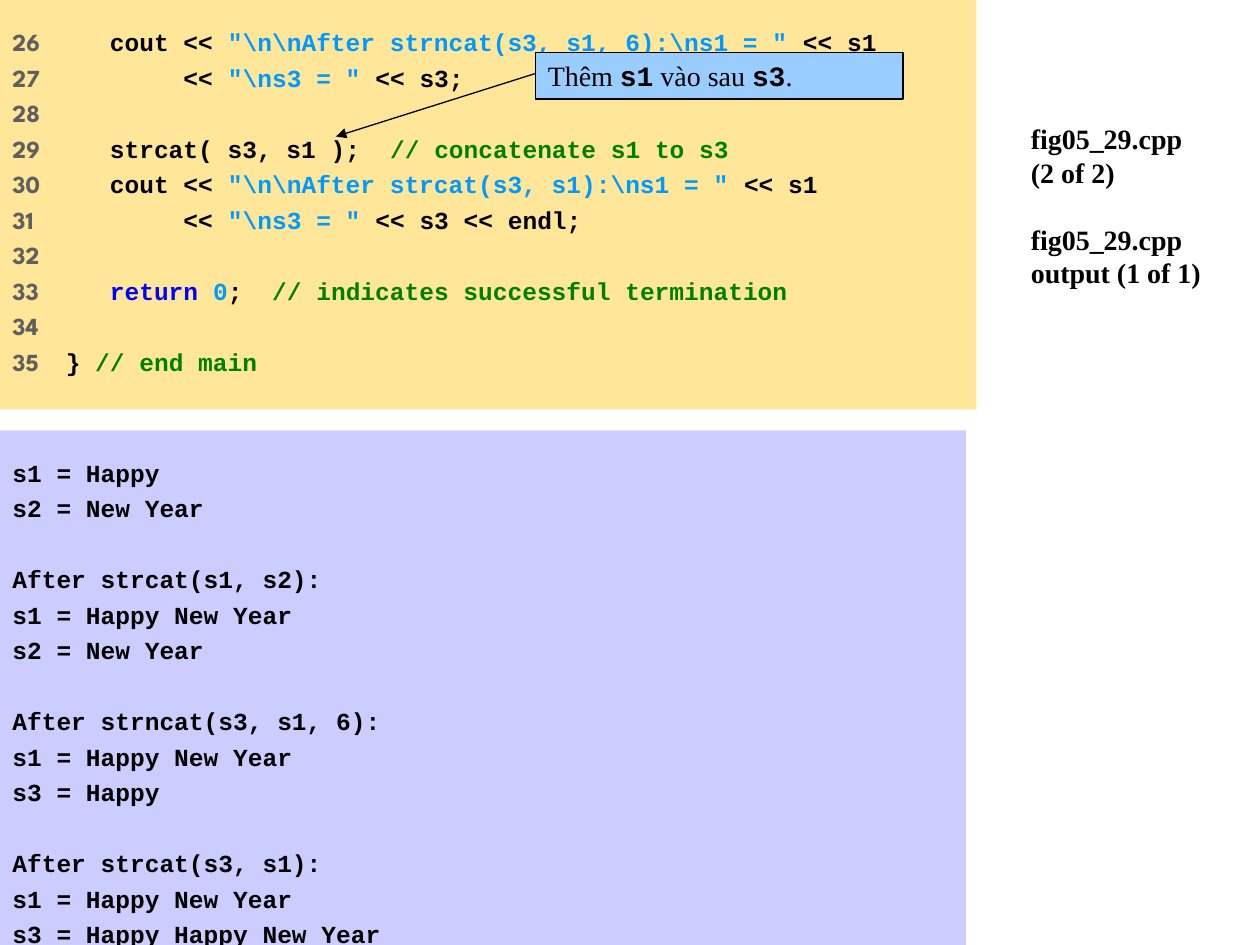
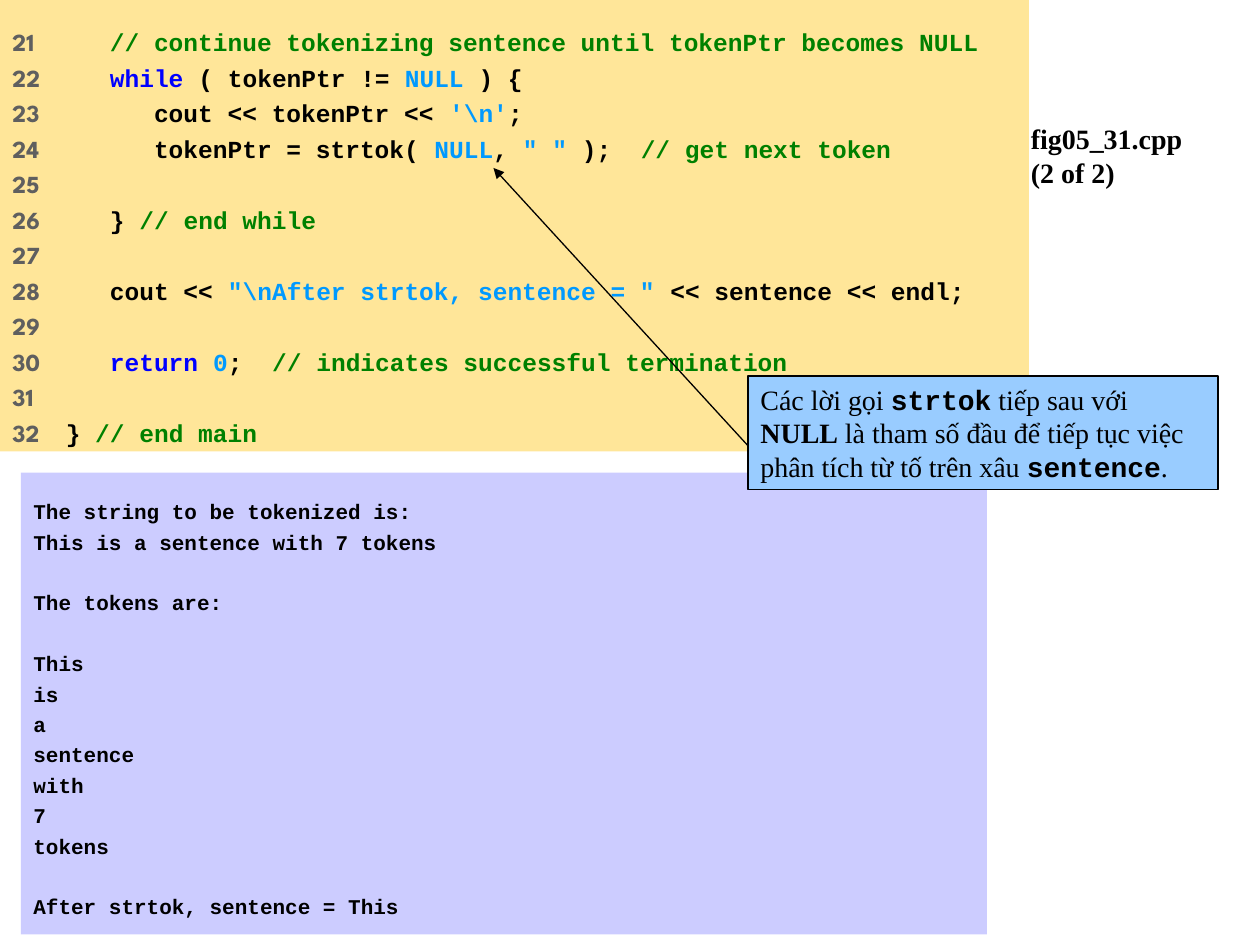
from dataclasses import dataclass

from lxml.etree import SubElement
from pptx import Presentation
from pptx.dml.color import RGBColor as Color
from pptx.enum.shapes import MSO_CONNECTOR as Connector, MSO_SHAPE as Shape
from pptx.enum.text import MSO_ANCHOR as Anchor, PP_ALIGN as Align
from pptx.oxml.ns import qn
from pptx.util import Pt


@dataclass(frozen=True)
class Theme:
    mono: str = "Courier New"
    serif: str = "Times New Roman"
    numbers: str = "League Spartan"
    ink: str = "000000"
    number_ink: str = "5F5F5F"
    keyword: str = "0000FF"
    literal: str = "0099FF"
    comment: str = "008000"
    code_fill: str = "FFE699"
    output_fill: str = "CCCCFF"
    callout_fill: str = "99CCFF"
    code_size: float = 14
    label_size: float = 16
    code_pitch: float = 1.45
    label_pitch: float = 1.2
    code_column: float = 30.5
    panel_inset: float = 12
    label_inset: float = 3.6


THEME = Theme()
PLAIN, KEYWORD, LITERAL, COMMENT = THEME.ink, THEME.keyword, THEME.literal, THEME.comment


def add_span(para, text, font, size, color=THEME.ink, bold=True):
    span = para.add_run()
    span.text = text
    span.font.name = font
    span.font.size = Pt(size)
    span.font.bold = bold
    span.font.color.rgb = Color.from_string(color)


def add_para(frame, index, pitch, before=0):
    para = frame.paragraphs[0] if index == 0 else frame.add_paragraph()
    para.alignment = Align.LEFT
    para.line_spacing = Pt(pitch)
    para.space_before = Pt(before)
    return para


def set_frame(shape, inset):
    frame = shape.text_frame
    frame.word_wrap = True
    frame.vertical_anchor = Anchor.TOP
    frame.margin_left = frame.margin_right = Pt(7.2)
    frame.margin_top = frame.margin_bottom = Pt(inset)
    return frame


def add_panel(page, box, fill, inset):
    panel = page.shapes.add_shape(Shape.RECTANGLE, *map(Pt, box))
    panel.shadow.inherit = False
    panel.fill.solid()
    panel.fill.fore_color.rgb = Color.from_string(fill)
    panel.line.fill.background()
    return panel, set_frame(panel, inset)


def add_groups(frame, groups, font, size, pitch):
    index = 0
    for group in groups:
        for position, line in enumerate(group):
            before = pitch if index and position == 0 else 0
            add_span(add_para(frame, index, pitch, before), line, font, size)
            index += 1


def add_title(page, box, groups):
    frame = set_frame(page.shapes.add_textbox(*map(Pt, box)), THEME.label_inset)
    size = THEME.label_size
    add_groups(frame, groups, THEME.serif, size, size * THEME.label_pitch)


def add_output(page, box, groups, size):
    frame = add_panel(page, box, THEME.output_fill, THEME.panel_inset)[1]
    add_groups(frame, groups, THEME.mono, size, size * THEME.code_pitch)


def add_code(page, box, first_number, lines):
    frame = add_panel(page, box, THEME.code_fill, THEME.panel_inset)[1]
    size = THEME.code_size
    for index, line in enumerate(lines):
        para = add_para(frame, index, size * THEME.code_pitch)
        tabs = SubElement(para._p.get_or_add_pPr(), qn("a:tabLst"))
        SubElement(tabs, qn("a:tab"), pos=str(Pt(THEME.code_column)), algn="l")
        number = f"{first_number + index}" + ("\t" if line else "")
        add_span(para, number, THEME.numbers, size, THEME.number_ink)
        for color, text in line:
            add_span(para, text, THEME.mono, size, color)


def add_callout(page, box, spans, arrow_drop, target):
    left, top = box[:2]
    panel, frame = add_panel(page, box, THEME.callout_fill, THEME.label_inset)
    arrow = page.shapes.add_connector(
        Connector.STRAIGHT, *map(Pt, (left, top + arrow_drop, *target)))
    SubElement(arrow._element.spPr, qn("a:effectLst"))
    for line in (panel.line, arrow.line):
        line.color.rgb = Color.from_string(THEME.ink)
        line.width = Pt(0.75)
    SubElement(arrow.line._get_or_add_ln(), qn("a:tailEnd"), type="triangle")
    size = THEME.label_size
    para = add_para(frame, 0, size * THEME.label_pitch)
    for text, font, bold in spans:
        add_span(para, text, font, size, bold=bold)


def add_listing_page(deck, title, code, output, callout):
    page = deck.slides.add_slide(deck.slide_layouts[6])
    add_output(page, **output)
    add_title(page, (582, 66, 138, 378), title)
    add_code(page, **code)
    add_callout(page, **callout)


RETURN_LINE = [(KEYWORD, "   return "), (LITERAL, "0"), (PLAIN, ";  "),
               (COMMENT, "// indicates successful termination")]
END_MAIN = [(PLAIN, "} "), (COMMENT, "// end main")]

CONCAT_CODE = [
    [(PLAIN, "   cout << "), (LITERAL, r'"\n\nAfter strncat(s3, s1, 6):\ns1 = "'),
     (PLAIN, " << s1")],
    [(PLAIN, "        << "), (LITERAL, r'"\ns3 = " '), (PLAIN, "<< s3;")],
    [],
    [(PLAIN, "   strcat( s3, s1 );  "), (COMMENT, "// concatenate s1 to s3")],
    [(PLAIN, "   cout << "), (LITERAL, r'"\n\nAfter strcat(s3, s1):\ns1 = " '),
     (PLAIN, "<< s1")],
    [(PLAIN, "        << "), (LITERAL, r'"\ns3 = " '), (PLAIN, "<< s3 << endl;")],
    [],
    RETURN_LINE,
    [],
    END_MAIN,
]
CONCAT_OUTPUT = [
    ["s1 = Happy", "s2 = New Year"],
    ["After strcat(s1, s2):", "s1 = Happy New Year", "s2 = New Year"],
    ["After strncat(s3, s1, 6):", "s1 = Happy New Year", "s3 = Happy"],
    ["After strcat(s3, s1):", "s1 = Happy New Year", "s3 = Happy Happy New Year"],
]
CONCAT_NOTE = [
    ("Thêm ", THEME.serif, False), ("s1", THEME.mono, True),
    (" vào sau ", THEME.serif, False), ("s3", THEME.mono, True),
    (".", THEME.serif, False),
]

TOKEN_CODE = [
    [(COMMENT, "   // continue tokenizing sentence until tokenPtr becomes NULL")],
    [(KEYWORD, "   while"), (PLAIN, " ( tokenPtr != "), (LITERAL, "NULL"), (PLAIN, " ) {")],
    [(PLAIN, "      cout << tokenPtr << "), (LITERAL, r"'\n'"), (PLAIN, ";")],
    [(PLAIN, "      tokenPtr = strtok( "), (LITERAL, "NULL"), (PLAIN, ", "),
     (LITERAL, '" "'), (PLAIN, " ); "), (COMMENT, " // get next token")],
    [],
    [(PLAIN, "   }"), (COMMENT, " // end while")],
    [],
    [(PLAIN, "   cout << "), (LITERAL, r'"\nAfter strtok, sentence = "'),
     (PLAIN, " << sentence << endl;")],
    [],
    RETURN_LINE,
    [],
    END_MAIN,
]
TOKEN_OUTPUT = [
    ["The string to be tokenized is:", "This is a sentence with 7 tokens"],
    ["The tokens are:"],
    ["This", "is", "a", "sentence", "with", "7", "tokens"],
    ["After strtok, sentence = This"],
]
TOKEN_NOTE = [
    ("Các lời gọi ", THEME.serif, False), ("strtok", THEME.mono, True),
    (" tiếp sau với ", THEME.serif, False), ("NULL", THEME.serif, True),
    (" là tham số đầu để tiếp tục việc phân tích từ tố trên xâu ", THEME.serif, False),
    ("sentence", THEME.mono, True), (".", THEME.serif, False),
]


def main():
    deck = Presentation()
    deck.slide_width, deck.slide_height = Pt(720), Pt(540)
    add_listing_page(
        deck,
        title=[["fig05_29.cpp", "(2 of 2)"], ["fig05_29.cpp", "output (1 of 1)"]],
        code=dict(box=(0, 0, 558, 234), first_number=26, lines=CONCAT_CODE),
        output=dict(box=(0, 246, 552, 294), groups=CONCAT_OUTPUT, size=14),
        callout=dict(box=(306, 30, 210, 26.6), spans=CONCAT_NOTE,
                     arrow_drop=12, target=(192, 78)),
    )
    add_listing_page(
        deck,
        title=[["fig05_31.cpp", "(2 of 2)"]],
        code=dict(box=(0, 0, 588, 258), first_number=21, lines=TOKEN_CODE),
        output=dict(box=(12, 270, 552, 264), groups=TOKEN_OUTPUT, size=12),
        callout=dict(box=(427.5, 214.8, 268.5, 64.8), spans=TOKEN_NOTE,
                     arrow_drop=40, target=(282, 96)),
    )
    deck.save("out.pptx")


if __name__ == "__main__":
    main()
